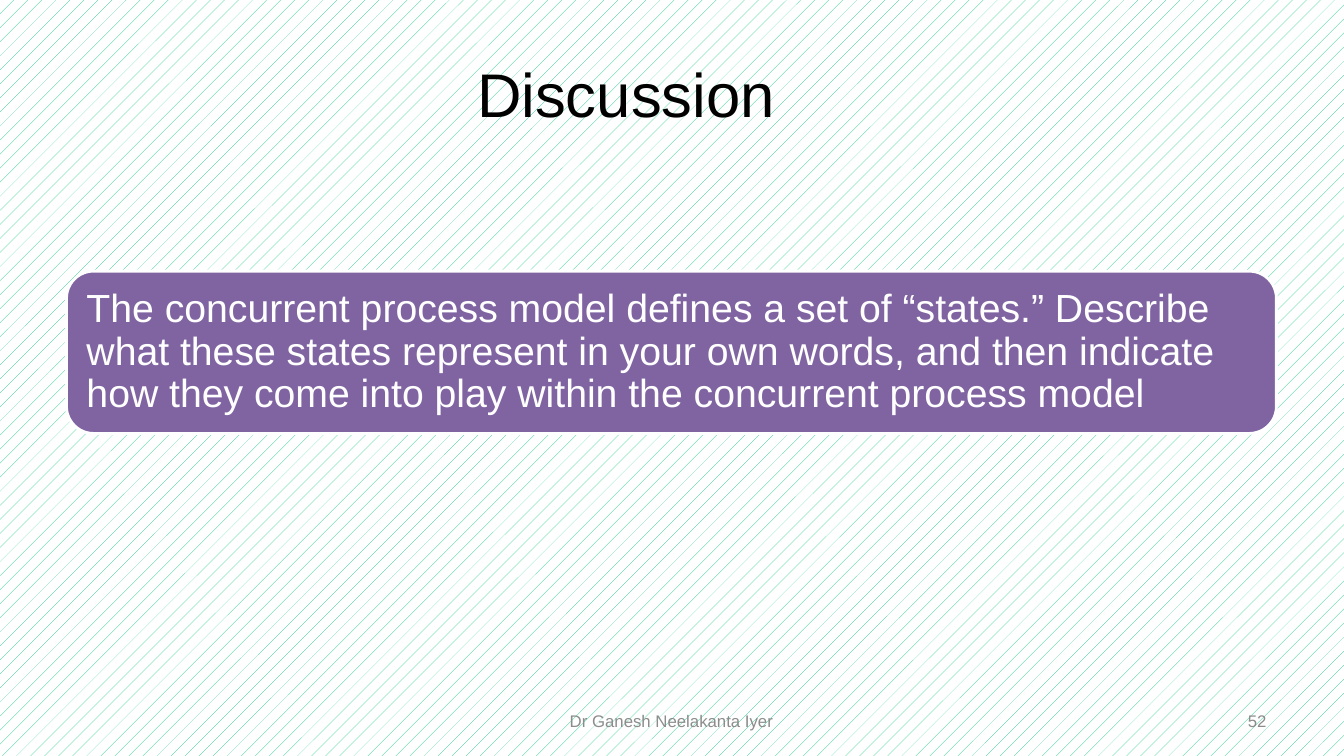
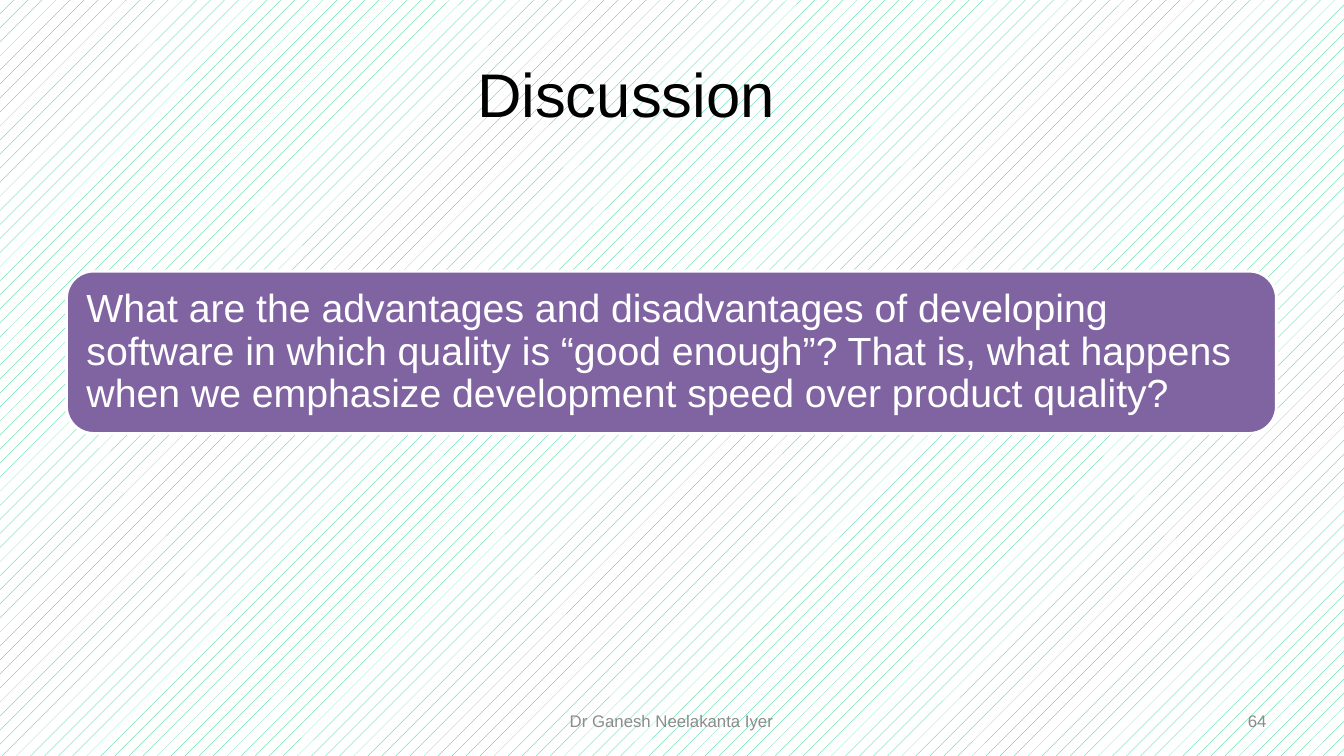
from pptx import Presentation
from pptx.dml.color import RGBColor
from pptx.enum.dml import MSO_PATTERN
from pptx.enum.shapes import MSO_SHAPE
from pptx.enum.text import MSO_ANCHOR, PP_ALIGN
from pptx.util import Inches, Pt

LEFT, CENTER, RIGHT = PP_ALIGN.LEFT, PP_ALIGN.CENTER, PP_ALIGN.RIGHT
MIDDLE = MSO_ANCHOR.MIDDLE
DOTS = MSO_PATTERN.PERCENT_5
ROUNDED = MSO_SHAPE.ROUNDED_RECTANGLE
TITLE_ONLY = 5

BLACK, WHITE, GREY = "000000", "FFFFFF", "8C8C8C"
PURPLE, GREEN = "8064A2", "09C77A"
FONT = "Arial"

# Boxes: left, top, width, height in inches
TITLE_BOX = (0.67, 0.3, 11.08, 1.25)
QUESTION_BOX = (0.66, 2.69, 12, 1.61)
AUTHOR_BOX = (4.55, 6.95, 4.22, 0.4)
NUMBER_BOX = (9.55, 6.95, 3.11, 0.4)

AUTHOR = "Dr Ganesh Neelakanta Iyer"
DISCUSSIONS = [
    (52, "The concurrent process model defines a set of “states.” Describe what "
         "these states represent in your own words, and then indicate how they "
         "come into play within the concurrent process model"),
    (64, "What are the advantages and disadvantages of developing software in "
         "which quality is “good enough”? That is, what happens when we "
         "emphasize development speed over product quality?"),
]


def rgb(value):
    return RGBColor.from_string(value)


def inches(box):
    return [Inches(length) for length in box]


def write(shape, text, size, color, align):
    """Put one vertically centred paragraph into a shape."""
    frame = shape.text_frame
    frame.text = text
    frame.word_wrap = True
    frame.vertical_anchor = MIDDLE
    paragraph = frame.paragraphs[0]
    paragraph.alignment = align
    font = paragraph.runs[0].font
    for name, value in {"name": FONT, "size": Pt(size)}.items():
        setattr(font, name, value)
    font.color.rgb = rgb(color)


def add_background(slide):
    fill = slide.background.fill
    fill.patterned()
    fill.pattern = DOTS
    fill.fore_color.rgb = rgb(GREEN)
    fill.back_color.rgb = rgb(WHITE)


def add_title(slide, text, box):
    title = slide.shapes.title
    for name, length in zip(("left", "top", "width", "height"), inches(box)):
        setattr(title, name, length)
    write(title, text, 44, BLACK, CENTER)


def add_question(slide, text, box):
    panel = slide.shapes.add_shape(ROUNDED, *inches(box))
    panel.shadow.inherit = False
    panel.fill.solid()
    panel.fill.fore_color.rgb = rgb(PURPLE)
    panel.line.color.rgb = rgb(WHITE)
    panel.line.width = Pt(2)
    write(panel, text, 28, WHITE, LEFT)
    for side in ("left", "top", "right", "bottom"):
        setattr(panel.text_frame, f"margin_{side}", Inches(0.12))
    panel.text_frame.paragraphs[0].line_spacing = 0.9


def add_footer(slide, number):
    for text, box, align in ((AUTHOR, AUTHOR_BOX, CENTER),
                             (str(number), NUMBER_BOX, RIGHT)):
        write(slide.shapes.add_textbox(*inches(box)), text, 12, GREY, align)


def add_discussion(deck, number, question):
    slide = deck.slides.add_slide(deck.slide_layouts[TITLE_ONLY])
    add_background(slide)
    add_title(slide, "Discussion", TITLE_BOX)
    add_question(slide, question, QUESTION_BOX)
    add_footer(slide, number)


def main():
    deck = Presentation()
    deck.slide_width, deck.slide_height = Inches(13.33), Inches(7.5)
    for number, question in DISCUSSIONS:
        add_discussion(deck, number, question)
    deck.save("out.pptx")


if __name__ == "__main__":
    main()
